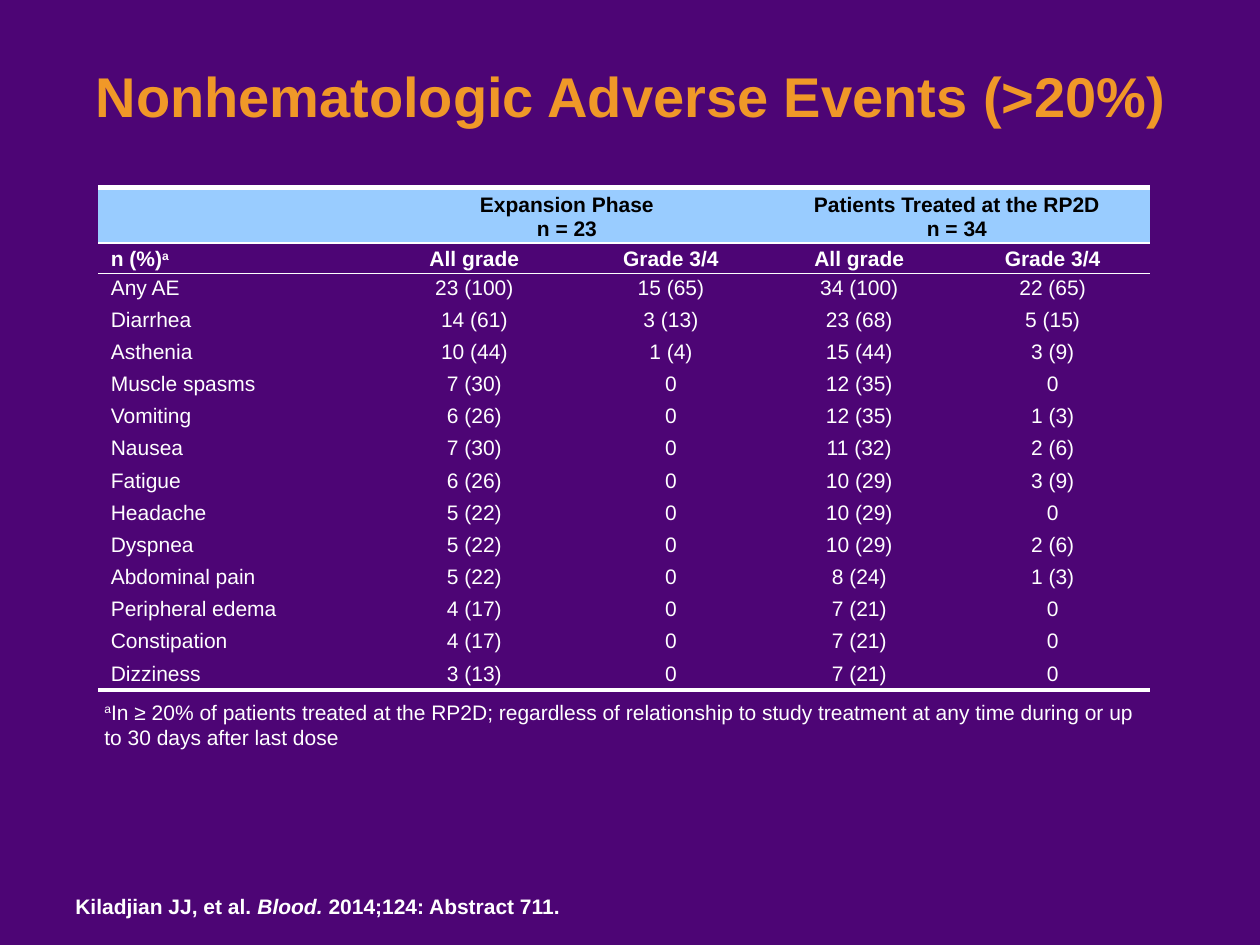
from dataclasses import dataclass

from lxml import etree
from pptx import Presentation
from pptx.dml.color import RGBColor
from pptx.enum.text import MSO_ANCHOR, PP_ALIGN
from pptx.oxml.ns import qn
from pptx.util import Inches, Pt

LEFT, CENTER = PP_ALIGN.LEFT, PP_ALIGN.CENTER
BOTTOM, MIDDLE = MSO_ANCHOR.BOTTOM, MSO_ANCHOR.MIDDLE


@dataclass(frozen=True)
class Theme:
    font: str = "Arial"
    background: str = "4D0575"
    title: str = "F09828"
    text: str = "FFFFFF"
    header_text: str = "000000"
    header_fill: str = "99CCFF"
    title_size: int = 32
    text_size: int = 12
    thick_rule: int = 3
    thin_rule: int = 1


theme = Theme()


def add_span(para, text, color=theme.text, size=theme.text_size,
             bold=False, italic=False, superscript=False):
    span = para.add_run()
    span.text = text
    font = span.font
    font.name, font.size = theme.font, Pt(size)
    font.bold, font.italic = bold, italic
    font.color.rgb = RGBColor.from_string(color)
    if superscript:
        font._element.set("baseline", "30000")


def add_rule(cell, side, points):
    properties = cell._tc.get_or_add_tcPr()
    line = etree.SubElement(properties, qn(f"a:{side}"), w=str(Pt(points)))
    fill = etree.SubElement(line, qn("a:solidFill"))
    etree.SubElement(fill, qn("a:srgbClr"), val=theme.text)


deck = Presentation()
deck.slide_width, deck.slide_height = Inches(10), Inches(7.5)
page = deck.slides.add_slide(deck.slide_layouts[6])
page.background.fill.solid()
page.background.fill.fore_color.rgb = RGBColor.from_string(theme.background)

# Title
box = page.shapes.add_textbox(Inches(0.42), Inches(0.24), Inches(9.18), Inches(0.83))
box.text_frame.word_wrap = True
box.text_frame.vertical_anchor = BOTTOM
para = box.text_frame.paragraphs[0]
para.alignment = CENTER
add_span(para, "Nonhematologic Adverse Events (>20%)", theme.title, theme.title_size, bold=True)

# Adverse event table
phases = ["", "Expansion Phase\nn = 23", "", "Patients Treated at the RP2D\nn = 34", ""]
rows = [
    phases,
    ["n (%)", "All grade", "Grade 3/4", "All grade", "Grade 3/4"],
    ["Any AE", "23 (100)", "15 (65)", "34 (100)", "22 (65)"],
    ["Diarrhea", "14 (61)", "3 (13)", "23 (68)", "5 (15)"],
    ["Asthenia", "10 (44)", "1 (4)", "15 (44)", "3 (9)"],
    ["Muscle spasms", "7 (30)", "0", "12 (35)", "0"],
    ["Vomiting", "6 (26)", "0", "12 (35)", "1 (3)"],
    ["Nausea", "7 (30)", "0", "11 (32)", "2 (6)"],
    ["Fatigue", "6 (26)", "0", "10 (29)", "3 (9)"],
    ["Headache", "5 (22)", "0", "10 (29)", "0"],
    ["Dyspnea", "5 (22)", "0", "10 (29)", "2 (6)"],
    ["Abdominal pain", "5 (22)", "0", "8 (24)", "1 (3)"],
    ["Peripheral edema", "4 (17)", "0", "7 (21)", "0"],
    ["Constipation", "4 (17)", "0", "7 (21)", "0"],
    ["Dizziness", "3 (13)", "0", "7 (21)", "0"],
]
column_widths = [2.16, 1.65, 1.47, 1.52, 1.55]
top_heights = [0.42, 0.22, 0.22]
event_count = len(rows) - len(top_heights)
row_heights = top_heights + [3.07 / event_count] * event_count
last_row = len(rows) - 1

frame = page.shapes.add_table(len(rows), len(column_widths), Inches(0.78), Inches(1.49),
                              Inches(sum(column_widths)), Inches(sum(row_heights)))
table = frame.table
table.first_row = table.horz_banding = False
# The "No Style, No Grid" table style
table._tbl.tblPr.find(qn("a:tableStyleId")).text = "{2D5ABB26-0587-4C30-8999-92F81FD0307C}"
for column, width in zip(table.columns, column_widths):
    column.width = Inches(width)
for row, height in zip(table.rows, row_heights):
    row.height = Inches(height)
for first in (1, 3):
    table.cell(0, first).merge(table.cell(0, first + 1))

for r, values in enumerate(rows):
    for c, value in enumerate(values):
        cell = table.cell(r, c)
        cell.margin_left = cell.margin_right = Inches(0.1)
        cell.margin_top = cell.margin_bottom = Inches(0.02)
        cell.vertical_anchor = BOTTOM if r < 2 else MIDDLE
        if r == 0:
            add_rule(cell, "lnT", theme.thick_rule)
            add_rule(cell, "lnB", theme.thin_rule)
            cell.fill.solid()
            cell.fill.fore_color.rgb = RGBColor.from_string(theme.header_fill)
        else:
            if r == 1:
                add_rule(cell, "lnT", theme.thin_rule)
            if r == last_row:
                add_rule(cell, "lnB", theme.thick_rule)
            cell.fill.background()
        if not value:
            cell.text_frame.paragraphs[0].font.size = Pt(theme.text_size)
            continue
        for i, line in enumerate(value.split("\n")):
            para = cell.text_frame.add_paragraph() if i else cell.text_frame.paragraphs[0]
            para.alignment = CENTER if c else LEFT
            add_span(para, line, theme.text if r else theme.header_text, bold=r < 2)

add_span(table.cell(1, 0).text_frame.paragraphs[0], "a", bold=True, superscript=True)

# Footnote
box = page.shapes.add_textbox(Inches(0.73), Inches(5.5), Inches(8.41), Inches(0.5))
box.text_frame.word_wrap = True
para = box.text_frame.paragraphs[0]
add_span(para, "a", superscript=True)
add_span(para, "In ≥ 20% of patients treated at the RP2D; regardless of relationship "
               "to study treatment at any time during or up to 30 days after last dose")

# Citation
box = page.shapes.add_textbox(Inches(0.5), Inches(7.04), Inches(4.13), Inches(0.3))
box.text_frame.word_wrap = False
para = box.text_frame.paragraphs[0]
add_span(para, "Kiladjian JJ, et al. ", bold=True)
add_span(para, "Blood. ", bold=True, italic=True)
add_span(para, "2014;124: Abstract 711.", bold=True)

deck.save("out.pptx")
